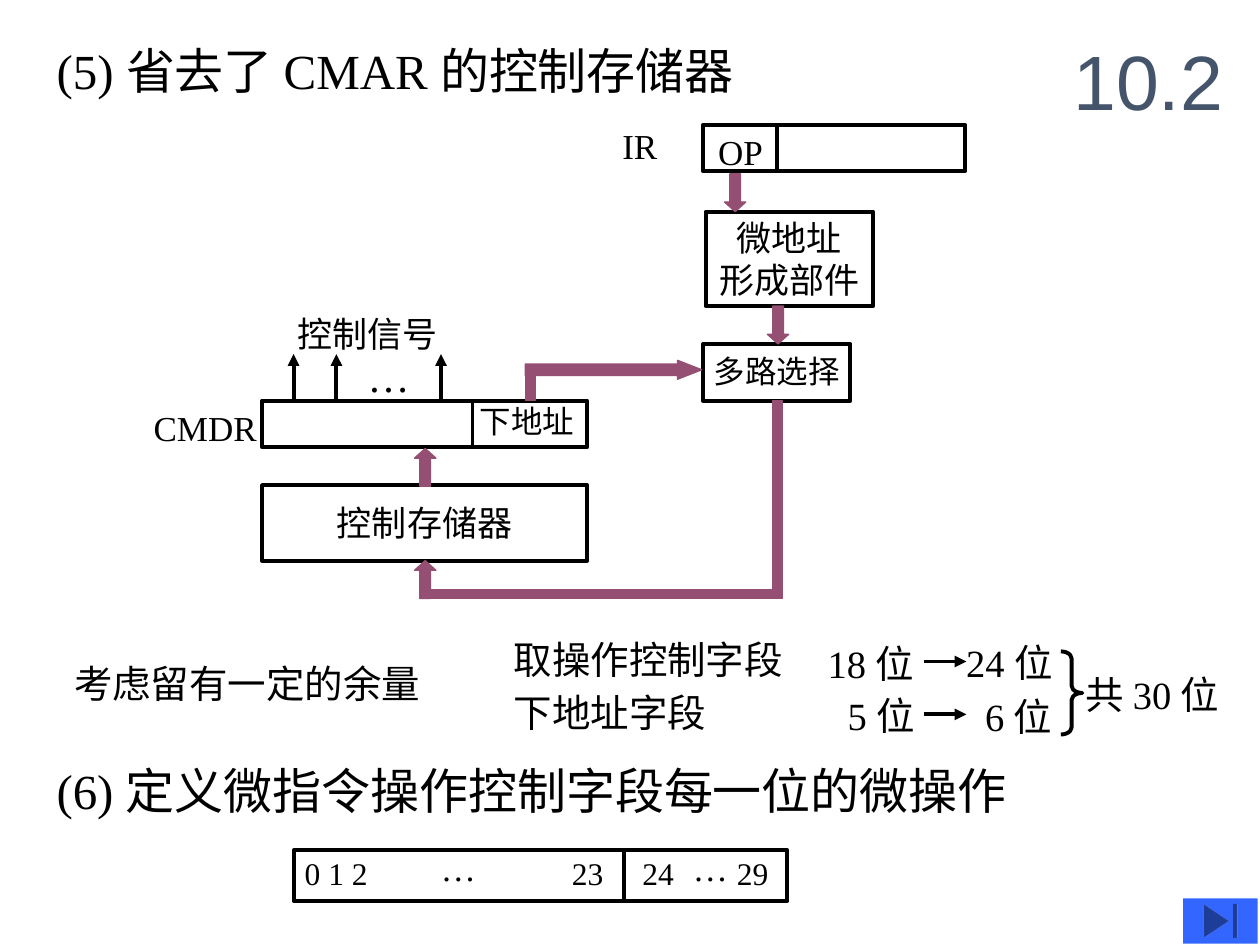
from lxml import etree
from pptx import Presentation
from pptx.dml.color import RGBColor
from pptx.enum.shapes import MSO_CONNECTOR, MSO_SHAPE
from pptx.enum.text import MSO_ANCHOR, MSO_AUTO_SIZE, PP_ALIGN
from pptx.oxml.ns import qn
from pptx.util import Inches, Pt

STRAIGHT = MSO_CONNECTOR.STRAIGHT
RECT, BRACE = MSO_SHAPE.RECTANGLE, MSO_SHAPE.RIGHT_BRACE
UP, DOWN, RIGHT = MSO_SHAPE.UP_ARROW, MSO_SHAPE.DOWN_ARROW, MSO_SHAPE.RIGHT_ARROW
END_BUTTON = MSO_SHAPE.ACTION_BUTTON_END
TOP, MIDDLE = MSO_ANCHOR.TOP, MSO_ANCHOR.MIDDLE
LEFT, CENTER = PP_ALIGN.LEFT, PP_ALIGN.CENTER
NO_FIT = MSO_AUTO_SIZE.NONE
SERIF, SANS = "Times New Roman", "Arial"
BLACK, PURPLE, SLATE, BLUE = "000000", "954F72", "44546A", "3366FF"


def rgb(color):
    return RGBColor.from_string(color)


def write(sp, text, size, font=SERIF, color=BLACK, align=LEFT, anchor=TOP,
          wrap=False, top=0.05):
    tf = sp.text_frame
    tf.text = text
    tf.word_wrap = wrap
    tf.auto_size = NO_FIT
    tf.vertical_anchor = anchor
    tf.margin_left = tf.margin_right = Inches(0.1)
    tf.margin_top, tf.margin_bottom = Inches(top), Inches(0.05)
    for p in tf.paragraphs:
        p.alignment = align
        for r in p.runs:
            r.font.name = font
            r.font.size = Pt(size)
            r.font.color.rgb = rgb(color)


def add_text(s, x, y, w, h, text, size, **style):
    sp = s.shapes.add_textbox(Inches(x), Inches(y), Inches(w), Inches(h))
    write(sp, text, size, **style)


def add_shape(s, kind, x, y, w, h, adjust=()):
    sp = s.shapes.add_shape(kind, Inches(x), Inches(y), Inches(w), Inches(h))
    sp.shadow.inherit = False
    for i, value in enumerate(adjust):
        sp.adjustments[i] = value
    return sp


def add_outline(s, x, y, w, h, text="", size=20, kind=RECT, adjust=(), top=0.05):
    sp = add_shape(s, kind, x, y, w, h, adjust)
    sp.fill.background()
    sp.line.color.rgb = rgb(BLACK)
    sp.line.width = Pt(2.25)
    if text:
        write(sp, text, size, align=CENTER, anchor=MIDDLE, top=top)


def add_flow(s, kind, x, y, w, h, adjust=()):
    sp = add_shape(s, kind, x, y, w, h, adjust)
    sp.fill.solid()
    sp.fill.fore_color.rgb = rgb(PURPLE)
    sp.line.color.rgb = rgb(PURPLE)
    sp.line.width = Pt(0.75)


def add_line(s, x1, y1, x2, y2, arrow=False):
    c = s.shapes.add_connector(STRAIGHT, Inches(x1), Inches(y1), Inches(x2), Inches(y2))
    c.line.color.rgb = rgb(BLACK)
    c.line.width = Pt(2.25)
    if arrow:
        etree.SubElement(c.line._get_or_add_ln(), qn("a:tailEnd"), type="triangle")
    etree.SubElement(c._element.spPr, qn("a:effectLst"))


def add_headings(s):
    title = s.shapes.title
    title.left, title.top = Inches(0.35), Inches(0.27)
    title.width, title.height = Inches(6.65), Inches(0.57)
    write(title, "(5) 省去了 CMAR 的控制存储器", 28, wrap=True)
    add_text(s, 0.35, 5.99, 8.48, 0.57, "(6) 定义微指令操作控制字段每一位的微操作", 28, wrap=True)
    add_text(s, 8.42, 0.17, 1.58, 0.92, "10.2", 44, font=SANS, color=SLATE,
             anchor=MIDDLE, wrap=True)


def add_diagram(s):
    add_outline(s, 5.58, 0.99, 2.08, 0.37)
    add_line(s, 6.17, 0.99, 6.17, 1.36)
    add_outline(s, 5.6, 1.68, 1.33, 0.75, "微地址\n形成部件")
    add_outline(s, 5.58, 2.73, 1.17, 0.45, "多路选择", 18, top=0.02)
    add_outline(s, 2.08, 3.18, 2.58, 0.37)
    add_line(s, 3.75, 3.18, 3.75, 3.56)
    add_outline(s, 2.08, 3.85, 2.58, 0.6, "控制存储器")

    for x in (2.33, 2.67, 3.5):
        add_line(s, x, 3.18, x, 2.81, arrow=True)

    for kind, x, y in ((UP, 3.29, 3.56), (UP, 3.29, 4.45),
                       (DOWN, 6.09, 2.43), (DOWN, 5.75, 1.38)):
        add_flow(s, kind, x, y, 0.17, 0.3, (0.5, 0.45))
    add_flow(s, RIGHT, 4.17, 2.86, 1.4, 0.15, (0.61, 1.28))
    for bar in ((3.33, 4.68, 2.83, 0.07), (6.13, 3.18, 0.08, 1.57),
                (4.17, 2.91, 0.08, 0.27)):
        add_flow(s, RECT, *bar)

    for x, y, w, text, size in ((4.84, 0.94, 0.48, "IR", 20),
                                (5.6, 0.99, 0.55, "OP", 20),
                                (2.26, 2.43, 1.31, "控制信号", 20),
                                (2.82, 2.73, 0.53, "…", 24),
                                (1.12, 3.18, 1.02, "CMDR", 20)):
        add_text(s, x, y, w, 0.44, text, size)
    add_text(s, 3.71, 3.17, 0.95, 0.37, "下地址", 18, top=0.02)


def add_bit_budget(s):
    for x, y, w, text in ((0.49, 5.19, 3.67, "考虑留有一定的余量"),
                          (3.98, 5.0, 2.33, "取操作控制字段"),
                          (3.98, 5.42, 1.72, "下地址字段"),
                          (6.47, 5.03, 0.96, "18 位"),
                          (7.57, 5.02, 0.96, "24 位"),
                          (6.63, 5.44, 0.8, "5 位"),
                          (7.72, 5.45, 0.8, "6 位"),
                          (8.52, 5.28, 1.4, "共 30 位")):
        add_text(s, x, y, w, 0.47, text, 22, wrap=w > 3)
    for y in (5.25, 5.67):
        add_line(s, 7.33, y, 7.67, y, arrow=True)
    add_outline(s, 8.42, 5.17, 0.17, 0.66, kind=BRACE, adjust=(0.33, 0.5))


def add_bit_row(s):
    add_outline(s, 2.33, 6.75, 3.92, 0.4)
    add_line(s, 4.95, 6.75, 4.95, 7.17)
    for x, w, text in ((2.32, 0.7, "0 1 2"), (4.44, 0.45, "23"),
                       (5.0, 0.45, "24"), (5.75, 0.45, "29")):
        add_text(s, x, 6.73, w, 0.4, text, 18)
    for x in (3.4, 5.4):
        add_text(s, x, 6.67, 0.48, 0.44, "…", 20)


def add_end_button(s):
    sp = add_shape(s, END_BUTTON, 9.39, 7.13, 0.59, 0.36)
    sp.fill.solid()
    sp.fill.fore_color.rgb = rgb(BLUE)
    sp.line.fill.background()


def main():
    prs = Presentation()
    prs.slide_width, prs.slide_height = Inches(10), Inches(7.5)
    s = prs.slides.add_slide(prs.slide_layouts[5])
    add_headings(s)
    add_diagram(s)
    add_bit_budget(s)
    add_bit_row(s)
    add_end_button(s)
    prs.save("out.pptx")


if __name__ == "__main__":
    main()
